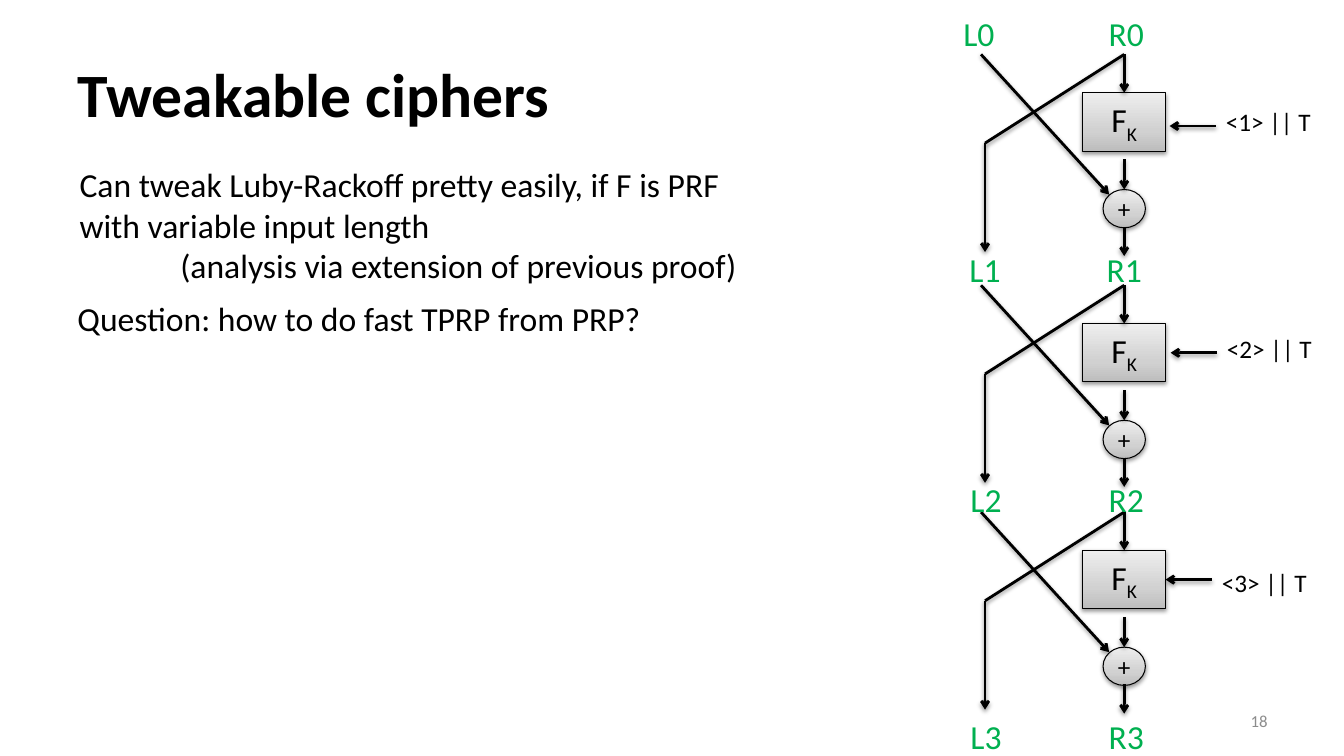
from copy import deepcopy

from pptx import Presentation
from pptx.dml.color import RGBColor
from pptx.enum import shapes, text
from pptx.oxml import parse_xml
from pptx.oxml.ns import nsdecls, qn
from pptx.util import Inches, Pt

BLACK = RGBColor(0, 0, 0)
GREEN = RGBColor(0x00, 0xB0, 0x50)
GREY = RGBColor(0x8C, 0x8C, 0x8C)
DARK, MIDDLE, LIGHT = (RGBColor(v, v, v) for v in (0xBD, 0xD1, 0xEE))
LEFT, CENTER, RIGHT = text.PP_ALIGN.LEFT, text.PP_ALIGN.CENTER, text.PP_ALIGN.RIGHT
SHADOW = (
    f'<a:effectLst {nsdecls("a")}><a:outerShdw blurRad="39370" dist="20320" dir="5400000" '
    'rotWithShape="0"><a:srgbClr val="000000"><a:alpha val="38000"/></a:srgbClr>'
    '</a:outerShdw></a:effectLst>'
)

prs = Presentation()
prs.slide_width, prs.slide_height = Inches(13.33), Inches(7.5)
s = prs.slides.add_slide(prs.slide_layouts[5])


def write(sp, lines, size=24, color=BLACK, align=LEFT, bold=False, wrap=True,
          anchor=text.MSO_ANCHOR.TOP):
    """Fill a shape with one paragraph per line and return its paragraphs."""
    tf = sp.text_frame
    tf.text = "\n".join(lines)
    tf.word_wrap, tf.vertical_anchor = wrap, anchor
    look = {"name": "Calibri", "size": Pt(size), "bold": bold}
    for p in tf.paragraphs:
        p.alignment = align
        for r in p.runs:
            r.font.color.rgb = color
            for key, value in look.items():
                setattr(r.font, key, value)
    return tf.paragraphs


def add_line(x1, y1, x2, y2, arrow=True):
    line = s.shapes.add_connector(shapes.MSO_CONNECTOR.STRAIGHT,
                                  *(Inches(v) for v in (x1, y1, x2, y2)))
    line.line.color.rgb, line.line.width = BLACK, Pt(2)
    if arrow:
        line.line._get_or_add_ln().append(
            parse_xml(f'<a:tailEnd {nsdecls("a")} type="arrow"/>'))
    line._element.spPr.append(parse_xml(SHADOW))


# Title and body
title = s.shapes.title
title.left, title.top, title.width, title.height = (Inches(v) for v in (0.67, 0.3, 12, 1.25))
write(title, ["Tweakable ciphers"], size=44, bold=True, anchor=text.MSO_ANCHOR.MIDDLE)

tweak = s.shapes.add_textbox(Inches(0.69), Inches(1.58), Inches(7.15), Inches(1.31))
paragraphs = write(tweak, [
    "Can tweak Luby-Rackoff pretty easily, if F is PRF with variable input length",
    "(analysis via extension of previous proof)",
])
paragraphs[1]._p.get_or_add_pPr().set("marL", str(Inches(1)))

question = s.shapes.add_textbox(Inches(0.67), Inches(2.91), Inches(7.15), Inches(0.5))
write(question, ["Question: how to do fast TPRP from PRP?"])

number = s.shapes.add_textbox(Inches(9.56), Inches(6.95), Inches(3.11), Inches(0.4))
write(number, ["18"], size=12, color=GREY, align=RIGHT, anchor=text.MSO_ANCHOR.MIDDLE)

# Feistel rounds: top of the round, then the tweak arrow's right end and height, label top
LEFT_X, RIGHT_X = 9.77, 11.15
ROUNDS = [
    (0.54, 12.06, 1.25, 1.01),
    (2.83, 12.07, 3.5, 3.26),
    (5.08, 12.02, 5.75, 5.58),
]
NODES = [
    (shapes.MSO_SHAPE.RECTANGLE, 0.38, 0.83, 0.58, "F", 24),
    (shapes.MSO_SHAPE.OVAL, 1.34, 0.42, 0.38, "+", 18),
]
for i, (top, tweak_x, tweak_y, label_y) in enumerate(ROUNDS, 1):
    for shape, dy, width, height, caption, size in NODES:
        node = s.shapes.add_shape(shape, Inches(RIGHT_X - width / 2), Inches(top + dy),
                                  Inches(width), Inches(height))
        node.fill.gradient()
        node.fill.gradient_angle = 90
        first, last = node.fill.gradient_stops
        first.color.rgb, first.position = MIDDLE, 0.35
        last.color.rgb, last.position = LIGHT, 1
        stops = node._element.spPr.find(qn("a:gradFill")).find(qn("a:gsLst"))
        stops.insert(0, deepcopy(stops[0]))
        start = node.fill.gradient_stops[0]
        start.color.rgb, start.position = DARK, 0
        node.line.color.rgb, node.line.width = BLACK, Pt(0.75)
        node._element.spPr.append(parse_xml(SHADOW))
        p = write(node, [caption], size=size, align=CENTER, wrap=caption == "F",
                  anchor=text.MSO_ANCHOR.MIDDLE)[0]
        if caption == "F":
            r = p.add_run()
            r.text = "K"
            r.font.name, r.font.size, r.font.color.rgb = "Calibri", Pt(size), BLACK
            r._r.get_or_add_rPr().set("baseline", "-25000")

    add_line(RIGHT_X, top, RIGHT_X, top + 0.38)
    add_line(RIGHT_X, top + 1.04, RIGHT_X, top + 1.34)
    add_line(RIGHT_X, top + 1.71, RIGHT_X, top + 2)
    add_line(9.73, top, 11, top + 1.39)
    add_line(RIGHT_X, top, LEFT_X, top + 0.88, arrow=False)
    add_line(LEFT_X, top + 0.88, LEFT_X, top + 1.96)
    add_line(tweak_x, tweak_y, tweak_x - 0.46, tweak_y)

    label = s.shapes.add_textbox(Inches(tweak_x), Inches(label_y), Inches(1.05), Inches(0.4))
    write(label, [f"<{i}> || T"], size=18, wrap=False)

# Half-block labels: centre of L, centre of R, top
HALVES = [(9.71, 11.17, 0.08), (9.77, 11.15, 2.42), (9.78, 11.17, 4.7), (9.78, 11.17, 7.05)]
for i, (left_x, right_x, top) in enumerate(HALVES):
    for side, x in (("L", left_x), ("R", right_x)):
        half = s.shapes.add_textbox(Inches(x - 0.3), Inches(top), Inches(0.6), Inches(0.5))
        write(half, [f"{side}{i}"], color=GREEN, align=CENTER, wrap=False)

prs.save("out.pptx")
